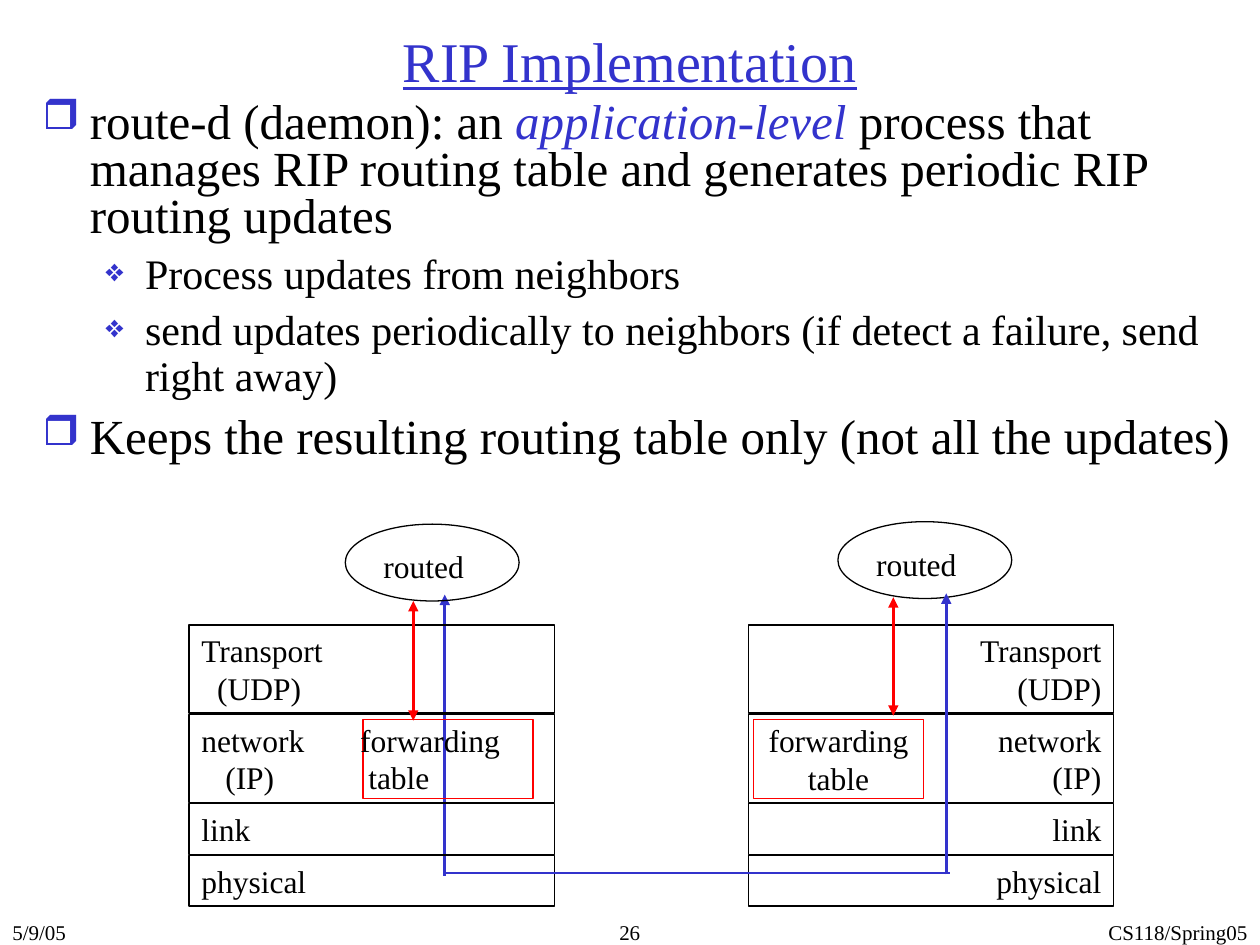
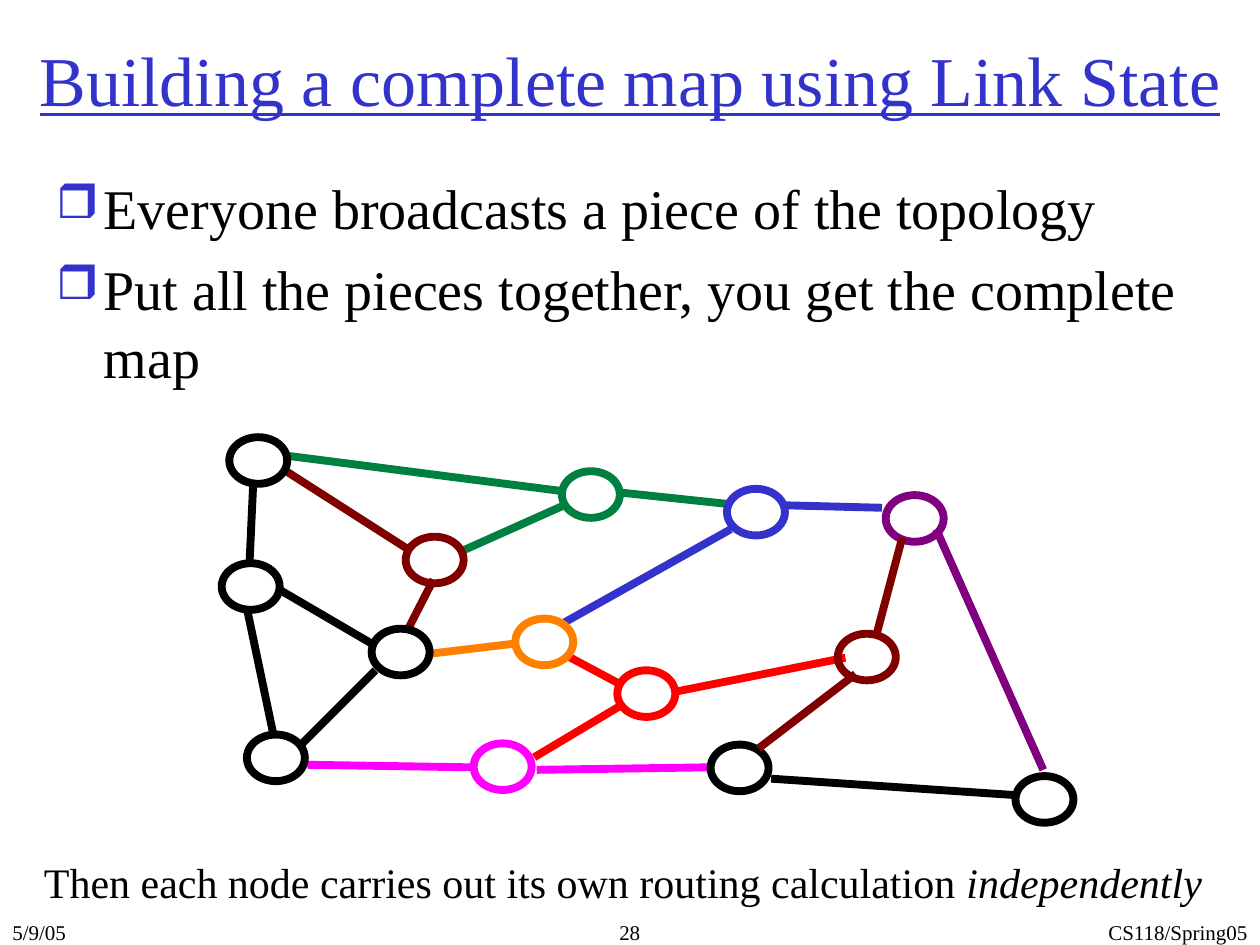
"""Build two routing slides: RIP implementation and link-state map building."""
import pptx
import pptx.util
import pptx.dml.color
import pptx.enum.shapes
import pptx.enum.text
import pptx.oxml
import pptx.oxml.ns
from lxml import etree

COLS, ROWS = 100, 75
CELL = pptx.util.Inches(0.1)
FONT = "Times New Roman"
COLORS = {
    "black": "000000", "blue": "3333CC", "red": "FF0000", "green": "008040",
    "purple": "800080", "maroon": "800000", "orange": "FF8000", "magenta": "FF00FF",
}
ALIGN = pptx.enum.text.PP_ALIGN
MIDDLE = pptx.enum.text.MSO_ANCHOR.MIDDLE
SHAPE = pptx.enum.shapes.MSO_SHAPE
qn = pptx.oxml.ns.qn

BULLETS = {0: ("❒", 85, 3.75, 3.75), 1: ("❖", 75, 8.13, 3.13)}
LAYERS = [("Transport", "(UDP)"), ("network", "(IP)"), ("link",), ("physical",)]
LAYER_INDENTS = {"(UDP)": 1.25, "(IP)": 1.9}
LAYER_GAP = 0.1
NODE_SIZE = (4.6, 3.7)
NETWORK = [
    ("green", [(44.6, 37.4)],
     [(36.5, 43.8, 45, 40), (49.3, 39.1, 57.8, 40), (23, 36.2, 44.8, 39)]),
    ("blue", [(57.7, 38.8)],
     [(62.1, 40.1, 70, 40.3), (44.8, 49.4, 58, 42)]),
    ("purple", [(70.3, 39.3)],
     [(74.3, 42, 82.8, 61.1)]),
    ("red", [(49, 53.2)],
     [(42.4, 60.1, 49.1, 56.1), (45.1, 52.1, 49.4, 54.4), (53.6, 54.9, 67.1, 52.2)]),
    ("maroon", [(32.2, 42.6)],
     [(22.4, 37.2, 32.4, 43.6), (34.4, 46, 32.3, 50.1)]),
    ("orange", [(40.9, 49.1)],
     [(34, 51.9, 40.7, 51.1)]),
    ("magenta", [(37.6, 59)],
     [(24.4, 60.7, 37.3, 60.9), (42.6, 61.1, 56.3, 60.9)]),
    ("black",
     [(17.6, 44.7), (29.5, 49.9), (80.6, 61.6), (19.6, 58.3), (18.2, 34.7), (56.4, 59.1)],
     [(20.1, 38.3, 19.8, 44.8), (21.7, 58.3, 19.6, 48.3), (22, 46.7, 29.7, 51.2),
      (23.9, 59.1, 29.8, 53.2), (61.2, 61.8, 80.5, 63.1)]),
    ("maroon", [(66.5, 50.3)],
     [(71.6, 42.7, 69.5, 50.6), (67.9, 53.5, 60.2, 59.4)]),
]


def cells(*values):
    """Convert grid columns or rows to lengths."""
    return [round(v * CELL) for v in values]


def rgb(name):
    """Look up a colour by name."""
    return pptx.dml.color.RGBColor.from_string(COLORS[name])


def write(tf, lines, size=18, align=ALIGN.LEFT, color="black", accent="black", wrap=True):
    """Fill a text frame; parts between asterisks are italic in the accent colour."""
    tf.word_wrap = wrap
    for i, line in enumerate(lines):
        p = tf.paragraphs[0] if i == 0 else tf.add_paragraph()
        p.alignment = align
        parts = line.split("*")
        p.text = parts[0]
        for part in parts[1:]:
            p.add_run().text = part
        for n, r in enumerate(p.runs):
            r.font.name = FONT
            r.font.size = pptx.util.Pt(size)
            r.font.color.rgb = rgb(accent if n % 2 else color)
            if n % 2:
                r.font.italic = True


def add_text(s, box, lines, **style):
    """Add a text box and return its frame."""
    tf = s.shapes.add_textbox(*cells(*box)).text_frame
    write(tf, lines, **style)
    return tf


def indent(p, left, hanging=0):
    """Set the left margin and hanging indent of a paragraph."""
    pPr = p._p.get_or_add_pPr()
    pPr.set("marL", str(cells(left)[0]))
    pPr.set("indent", str(-cells(hanging)[0]))
    return pPr


def add_bullets(s, box, items):
    """Add a bulleted list of (level, size, line spacing, space before, text)."""
    tf = s.shapes.add_textbox(*cells(*box)).text_frame
    for i, (level, size, spacing, before, line) in enumerate(items):
        p = tf.paragraphs[0] if i == 0 else tf.add_paragraph()
        char, percent, left, hanging = BULLETS[level]
        pPr = indent(p, left, hanging)
        color = etree.SubElement(pPr, qn("a:buClr"))
        etree.SubElement(color, qn("a:srgbClr"), val=COLORS["blue"])
        etree.SubElement(pPr, qn("a:buSzPct"), val=str(percent * 1000))
        etree.SubElement(pPr, qn("a:buChar"), char=char)
        p.level = level
        p.line_spacing = spacing
        p.space_before = pptx.util.Pt(before if i else 0)
    tf.word_wrap = True
    for p, (_, size, _, _, line) in zip(tf.paragraphs, items):
        parts = line.split("*")
        p.text = parts[0]
        for part in parts[1:]:
            p.add_run().text = part
        for n, r in enumerate(p.runs):
            r.font.name = FONT
            r.font.size = pptx.util.Pt(size)
            r.font.italic = bool(n % 2)
            r.font.color.rgb = rgb("blue" if n % 2 else "black")


def add_outline(s, kind, box, color="black", width=0.75):
    """Add an unfilled shape with a coloured outline."""
    sp = s.shapes.add_shape(kind, *cells(*box))
    sp.shadow.inherit = False
    sp.fill.background()
    sp.line.color.rgb = rgb(color)
    sp.line.width = pptx.util.Pt(width)
    return sp


def add_line(s, ends, color, width=1.5, arrows=()):
    """Add a straight line with arrowheads at the named ends."""
    cx = s.shapes.add_connector(pptx.enum.shapes.MSO_CONNECTOR.STRAIGHT, *cells(*ends))
    cx.line.color.rgb = rgb(color)
    cx.line.width = pptx.util.Pt(width)
    for end in arrows:
        etree.SubElement(cx.line._get_or_add_ln(), qn(f"a:{end}"), type="triangle")
    etree.SubElement(cx._element.spPr, qn("a:effectLst"))


def add_slide(prs, title, size, height, number):
    """Add a blank slide with the shared title style and footer."""
    s = prs.slides.add_slide(prs.slide_layouts[6])
    tf = add_text(s, (0, 0, COLS, height), [title], size=size, align=ALIGN.CENTER, color="blue")
    tf.vertical_anchor = MIDDLE
    tf.paragraphs[0].runs[0].font.underline = True
    for left, width, text, align in [
        (0, 20.8, "5/9/05", ALIGN.LEFT),
        (46.8, 5, number, ALIGN.RIGHT),
        (68.3, 31.7, "CS118/Spring05", ALIGN.RIGHT),
    ]:
        add_text(s, (left, 72.5, width, 3), [text], size=12, align=align)
    return s


def add_stack(s, left, align):
    """Draw one host's protocol layers from top to bottom."""
    top = 49.6
    for layer in LAYERS:
        height = 7 if len(layer) == 2 else 4
        sp = add_outline(s, SHAPE.RECTANGLE, (left, top, 29, height))
        write(sp.text_frame, layer, align=align)
        sp.text_frame.vertical_anchor = pptx.enum.text.MSO_ANCHOR.TOP
        if align == ALIGN.LEFT:
            for p in sp.text_frame.paragraphs:
                indent(p, LAYER_INDENTS.get(p.text, 0))
        top += height + LAYER_GAP


def add_daemon(s, left, top):
    """Draw the routed process above a stack."""
    add_outline(s, SHAPE.OVAL, (left, top, 13.8, 6.1))
    add_text(s, (left + 2.05, top + 1.35, 8.4, 4), ["routed"], wrap=False)


def build_rip(prs):
    """Build the RIP implementation slide."""
    s = add_slide(prs, "RIP Implementation", 32, 9.5, "26")
    add_bullets(s, (2.4, 7.6, 97.6, 39.9), [
        (0, 28, 0.8, 7, "route-d (daemon): an *application-level* process that manages "
                        "RIP routing table and generates periodic RIP routing updates"),
        (1, 24, 0.9, 6, "Process updates from neighbors"),
        (1, 24, 0.9, 6, "send updates periodically to neighbors "
                        "(if detect a failure, send right away)"),
        (0, 28, 0.9, 7, "Keeps the resulting routing table only (not all the updates)"),
    ])
    add_line(s, (35.3, 69.5, 35.3, 47.2), "blue", arrows=["tailEnd"])
    add_stack(s, 15, ALIGN.LEFT)
    add_stack(s, 59.4, ALIGN.RIGHT)
    add_daemon(s, 27.4, 41.6)
    add_daemon(s, 66.5, 41.4)

    table = ["forwarding", "table"]
    add_outline(s, SHAPE.RECTANGLE, (28.8, 57.1, 13.5, 6.3), "red")
    tf = add_text(s, (27.6, 56.7, 14.7, 7), table)
    indent(tf.paragraphs[1], 0.65)
    add_line(s, (75.1, 69.4, 75.1, 47.1), "blue", arrows=["tailEnd"])
    sp = add_outline(s, SHAPE.RECTANGLE, (59.8, 57.1, 13.5, 6.3), "red")
    write(sp.text_frame, table, align=ALIGN.CENTER, wrap=False)
    sp.text_frame.vertical_anchor = MIDDLE

    add_line(s, (35.2, 69.3, 75.4, 69.3), "blue")
    for x, top, bottom in [(32.8, 47.7, 57.2), (70.9, 47.4, 56.8)]:
        add_line(s, (x, top, x, bottom), "red", arrows=["headEnd", "tailEnd"])


def build_link_state(prs):
    """Build the link-state map slide."""
    s = add_slide(prs, "Building a complete map using Link State", 40, 12.5, "28")
    add_bullets(s, (3.5, 13.3, 94.7, 55.4), [
        (0, 32, 1.0, 8, "Everyone broadcasts a piece of the topology"),
        (0, 32, 1.0, 8, "Put all the pieces together, you get the complete map"),
    ])
    for color, nodes, links in NETWORK:
        for node in nodes:
            add_outline(s, SHAPE.OVAL, node + NODE_SIZE, color, 4.5)
        for link in links:
            add_line(s, link, color, 4.5)
    add_text(s, (2.5, 67.5, 93.9, 5),
             ["Then each node carries out its own routing calculation *independently*"],
             size=24, wrap=False)


def main():
    """Build and save the presentation."""
    prs = pptx.Presentation()
    prs.slide_width, prs.slide_height = cells(COLS, ROWS)
    build_rip(prs)
    build_link_state(prs)
    prs.save("out.pptx")


if __name__ == "__main__":
    main()
